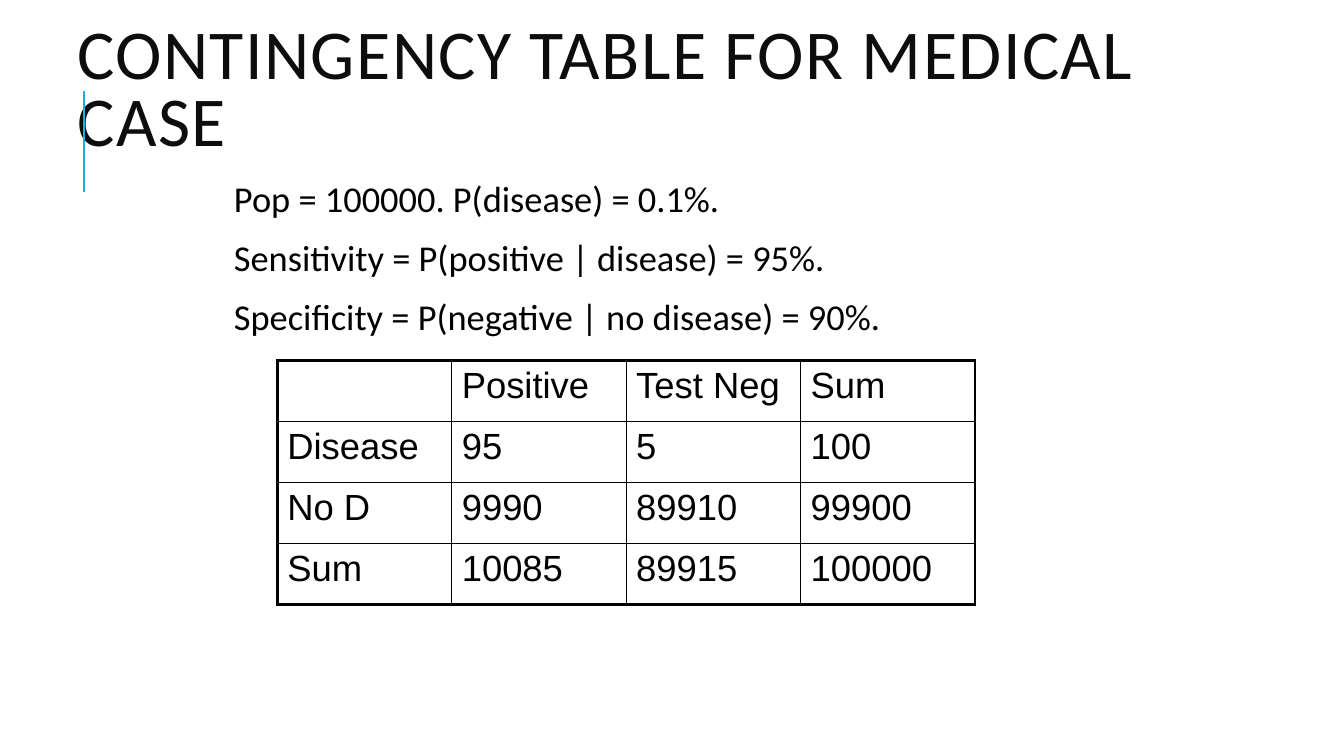
from lxml import etree
from pptx import Presentation
from pptx.dml.color import RGBColor
from pptx.enum.shapes import MSO_CONNECTOR
from pptx.enum.text import MSO_ANCHOR, MSO_AUTO_SIZE, PP_ALIGN
from pptx.oxml.ns import qn
from pptx.util import Inches, Pt

LEFT = PP_ALIGN.LEFT
MIDDLE, TOP = MSO_ANCHOR.MIDDLE, MSO_ANCHOR.TOP
NO_FIT = MSO_AUTO_SIZE.NONE
STRAIGHT = MSO_CONNECTOR.STRAIGHT

COLORS = {"title": "0D0D0D", "text": "000000", "accent": "1CADE4"}
TITLE = "CONTINGENCY TABLE FOR MEDICAL CASE"
FACTS = [
    "Pop = 100000. P(disease) = 0.1%.",
    "Sensitivity = P(positive | disease) = 95%.",
    "Specificity = P(negative | no disease) = 90%.",
]
ROWS = [
    ["", "Positive", "Test Neg", "Sum"],
    ["Disease", "95", "5", "100"],
    ["No D", "9990", "89910", "99900"],
    ["Sum", "10085", "89915", "100000"],
]
THIN, THICK = 1, 2.25


def add_run(para, text, size, font, color):
    run = para.add_run()
    run.text = text
    run.font.size = Pt(size)
    run.font.name = font
    run.font.color.rgb = RGBColor.from_string(COLORS[color])
    return run


def place(shape, left, top, width, height):
    shape.left, shape.top = Inches(left), Inches(top)
    shape.width, shape.height = Inches(width), Inches(height)


def add_color(parent, color):
    etree.SubElement(parent, qn("a:srgbClr"), val=COLORS[color])


def add_rule(slide):
    rule = slide.shapes.add_connector(
        STRAIGHT, Inches(0.83), Inches(1.9), Inches(0.83), Inches(0.9))
    rule.line.color.rgb = RGBColor.from_string(COLORS["accent"])
    rule.line.width = Pt(1.5)
    etree.SubElement(rule._element.spPr, qn("a:effectLst"))


def fill_title(shape):
    place(shape, 0.67, 0.3, 12, 1.25)
    frame = shape.text_frame
    frame.auto_size = NO_FIT
    frame.vertical_anchor = MIDDLE
    para = frame.paragraphs[0]
    para.alignment = LEFT
    para.line_spacing = 0.8
    run = add_run(para, TITLE, 50, "Calibri", "title")
    run.font._element.set("spc", "100")


def add_bullet(para):
    """Give the paragraph a hanging indent with a blank bullet."""
    props = para._p.get_or_add_pPr()
    props.set("marL", str(Inches(0.1)))
    props.set("indent", str(Inches(-0.1)))
    add_color(etree.SubElement(props, qn("a:buClr")), "accent")
    etree.SubElement(props, qn("a:buChar"), char=" ")


def fill_body(shape):
    place(shape, 2.17, 1.75, 9, 2.58)
    frame = shape.text_frame
    frame.auto_size = NO_FIT
    frame.vertical_anchor = TOP
    frame.margin_left = frame.margin_right = Inches(0.05)
    frame.margin_top = frame.margin_bottom = Inches(0.05)
    for i, fact in enumerate(FACTS):
        para = frame.add_paragraph() if i else frame.paragraphs[0]
        para.line_spacing = 0.9
        para.space_before, para.space_after = Pt(12), Pt(2)
        add_bullet(para)
        add_run(para, fact, 26, "Calibri", "text")


def add_border(cell, side, width):
    line = etree.SubElement(
        cell._tc.get_or_add_tcPr(), qn("a:ln" + side), w=str(Pt(width)))
    add_color(etree.SubElement(line, qn("a:solidFill")), "text")


def add_grid(slide):
    """Add the table with a thick frame and thin inner lines."""
    last = len(ROWS) - 1
    table = slide.shapes.add_table(
        len(ROWS), len(ROWS[0]), Inches(2.75), Inches(3.58),
        Inches(6.92), Inches(2.42)).table
    table.first_row = table.horz_banding = False
    for r, row in enumerate(ROWS):
        for c, text in enumerate(row):
            cell = table.cell(r, c)
            edges = {"L": c == 0, "R": c == last, "T": r == 0, "B": r == last}
            for side, outer in edges.items():
                add_border(cell, side, THICK if outer else THIN)
            cell.fill.background()
            if text:
                add_run(cell.text_frame.paragraphs[0], text, 26, "Arial", "text")


def main():
    deck = Presentation()
    deck.slide_width, deck.slide_height = Inches(13.33), Inches(7.5)
    slide = deck.slides.add_slide(deck.slide_layouts[1])
    add_rule(slide)
    fill_title(slide.shapes.title)
    fill_body(slide.placeholders[1])
    add_grid(slide)
    deck.save("out.pptx")


if __name__ == "__main__":
    main()
